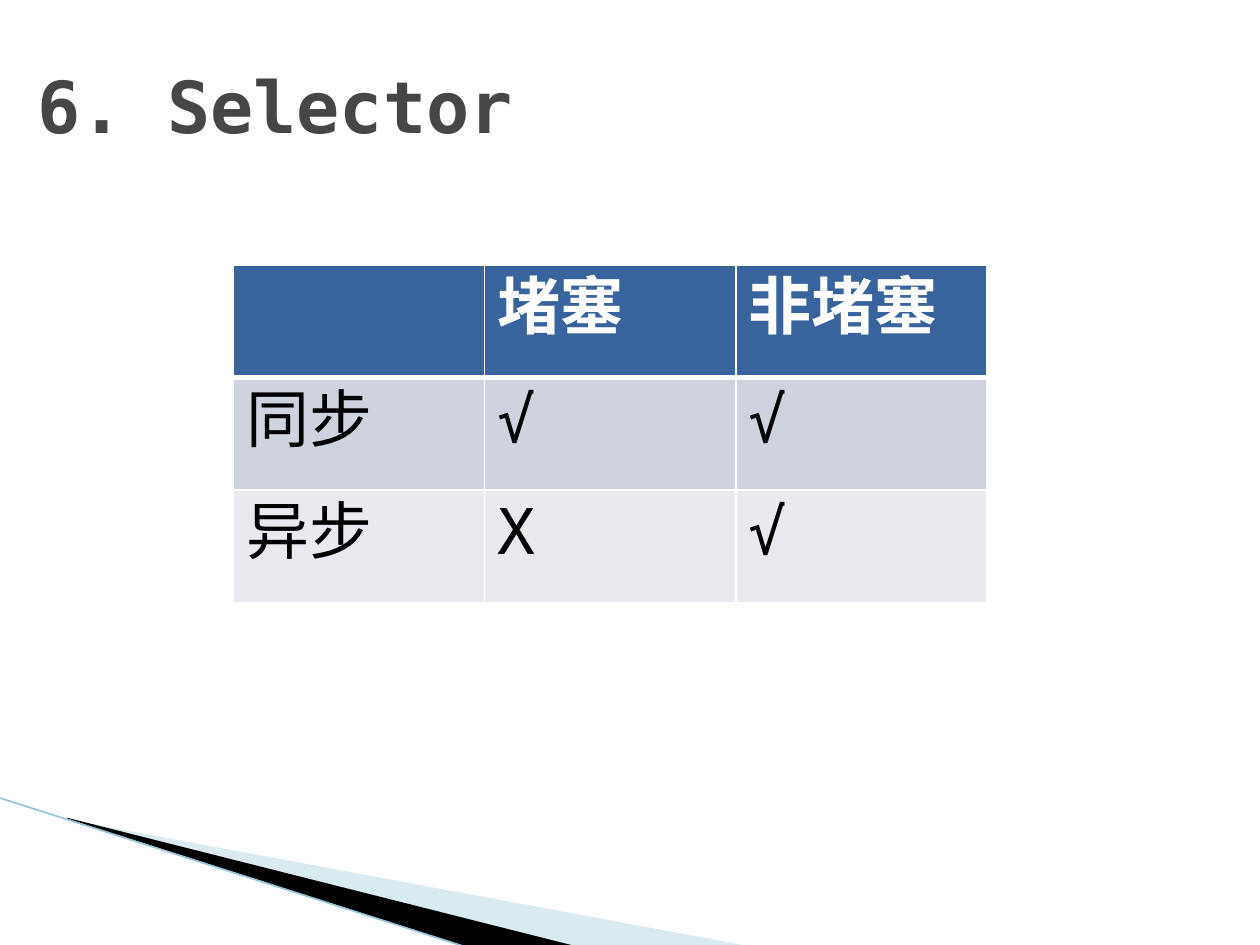
from lxml import etree
from pptx import Presentation
from pptx.dml.color import RGBColor
from pptx.enum.shapes import MSO_CONNECTOR
from pptx.enum.text import MSO_ANCHOR
from pptx.oxml.ns import qn
from pptx.util import Pt

MIDDLE = MSO_ANCHOR.MIDDLE
STRAIGHT = MSO_CONNECTOR.STRAIGHT
FONT = "DejaVu Sans Mono"
COLORS = {
    "title": "464646", "header": "39639D", "odd_row": "CED3DF",
    "even_row": "E8EAEF", "white": "FFFFFF", "black": "000000",
    "pale_wedge": "A0CBDC", "edge": "97C5D8",
}


def write(frame, text, size=36, color="black", bold=False):
    """Put one formatted line into a text frame."""
    run = frame.paragraphs[0].add_run()
    run.text = text
    font = run.font
    font.name, font.size, font.bold = FONT, Pt(size), bold
    font.color.rgb = RGBColor.from_string(COLORS[color])
    east_asian = etree.SubElement(font._element, qn("a:ea"))
    east_asian.set("typeface", FONT)


def add_border(cell, side, width):
    """Draw one white border of a table cell."""
    border = etree.Element(qn(f"a:ln{side}"), w=str(Pt(width)))
    fill = etree.SubElement(border, qn("a:solidFill"))
    etree.SubElement(fill, qn("a:srgbClr"), val=COLORS["white"])
    return border


class Deck:
    """Holds the colours and the current slide."""

    def __init__(self, width, height):
        """Start a deck with one blank slide."""
        self.file = Presentation()
        self.file.slide_width, self.file.slide_height = Pt(width), Pt(height)
        self.shapes = self.file.slides.add_slide(self.file.slide_layouts[6]).shapes

    def wedge(self, points, color, opacity=100):
        """Add a filled outline without a line."""
        start, *rest = [(Pt(x), Pt(y)) for x, y in points]
        builder = self.shapes.build_freeform(*start, scale=1.0)
        builder.add_line_segments(rest, close=True)
        shape = builder.convert_to_shape()
        shape.shadow.inherit = False
        shape.line.fill.background()
        shape.fill.solid()
        shape.fill.fore_color.rgb = RGBColor.from_string(COLORS[color])
        if opacity < 100:
            tint = shape.fill._xPr.find(".//" + qn("a:srgbClr"))
            etree.SubElement(tint, qn("a:alpha"), val=str(opacity * 1000))

    def line(self, start, end, color, width):
        """Add a straight line without a shadow."""
        line = self.shapes.add_connector(STRAIGHT, *map(Pt, start + end))
        line.line.color.rgb = RGBColor.from_string(COLORS[color])
        line.line.width = Pt(width)
        etree.SubElement(line._element.spPr, qn("a:effectLst"))

    def title(self, text, left, top, width, height):
        """Add the heading."""
        box = self.shapes.add_textbox(*map(Pt, (left, top, width, height)))
        box.text_frame.word_wrap = True
        box.text_frame.vertical_anchor = MIDDLE
        write(box.text_frame, text, size=41, color="title", bold=True)

    def table(self, rows, left, top, column_width, row_height):
        """Add a table with a header row and banded body rows."""
        columns = len(rows[0])
        table = self.shapes.add_table(
            len(rows), columns, Pt(left), Pt(top),
            Pt(column_width * columns), Pt(row_height * len(rows))).table
        for r, row in enumerate(rows):
            header = r == 0
            band = "header" if header else "odd_row" if r % 2 else "even_row"
            for c, text in enumerate(row):
                cell = table.cell(r, c)
                cell.fill.solid()
                cell.fill.fore_color.rgb = RGBColor.from_string(COLORS[band])
                widths = {"L": 1, "R": 1, "T": 3 if r == 1 else 1, "B": 3 if header else 1}
                properties = cell._tc.get_or_add_tcPr()
                for position, (side, width) in enumerate(widths.items()):
                    properties.insert(position, add_border(cell, side, width))
                if text:
                    write(cell.text_frame, text, bold=header,
                          color="white" if header else "black")


deck = Deck(720, 540)
deck.wedge([(39.6, 468.5), (428.4, 540.7), (328.3, 540.7), (39.6, 468)],
           "pale_wedge", opacity=40)
deck.wedge([(38.2, 467.3), (329, 540.7), (267.8, 541.4), (38.9, 468)], "black")
deck.line((-0.7, 455.8), (267.1, 541.4), "edge", 0.95)
deck.table([["", "堵塞", "非堵塞"], ["同步", "√", "√"], ["异步", "X", "√"]],
           left=133.5, top=151.5, column_width=143.5, row_height=64.25)
deck.title("6. Selector", 14.4, 15, 648, 90)
deck.file.save("out.pptx")
